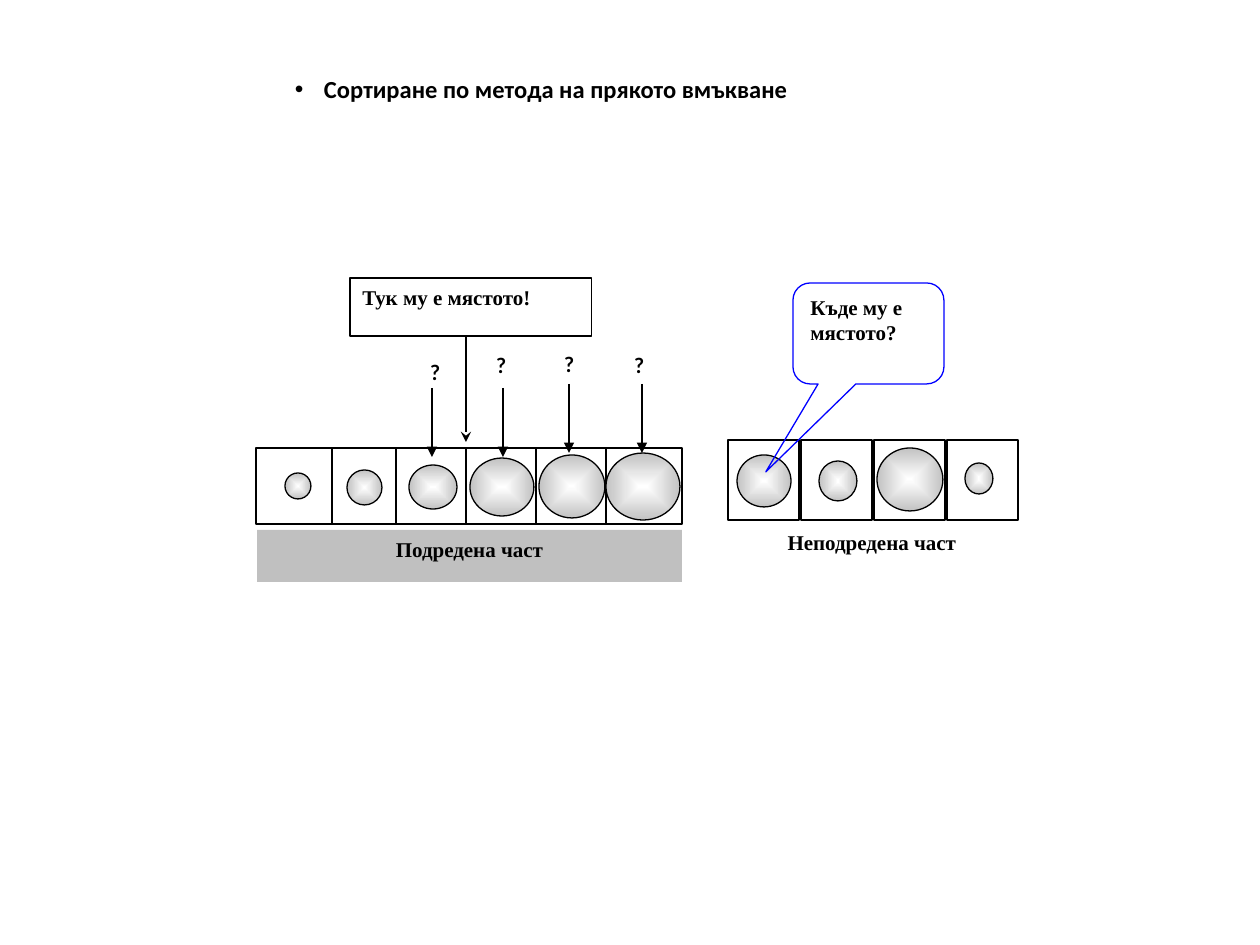
from lxml import etree
from pptx import Presentation
from pptx.dml.color import RGBColor
from pptx.enum.shapes import MSO_CONNECTOR, MSO_SHAPE
from pptx.enum.text import MSO_ANCHOR, MSO_AUTO_SIZE, PP_ALIGN
from pptx.oxml.ns import qn
from pptx.util import Emu, Pt

PX = 914400 // 126
RECT, OVAL = MSO_SHAPE.RECTANGLE, MSO_SHAPE.OVAL
CALLOUT = MSO_SHAPE.ROUNDED_RECTANGULAR_CALLOUT
LEFT, CENTER = PP_ALIGN.LEFT, PP_ALIGN.CENTER
SERIF = "Times New Roman"

prs = Presentation()
prs.slide_width, prs.slide_height = Emu(1260 * PX), Emu(945 * PX)
s = prs.slides.add_slide(prs.slide_layouts[1])


def add_box(kind, box, fill=None, line=None, width=0.75):
    sp = s.shapes.add_shape(kind, *[Emu(v * PX) for v in box])
    sp.shadow.inherit = False
    if fill:
        sp.fill.solid()
        sp.fill.fore_color.rgb = RGBColor.from_string(fill)
    else:
        sp.fill.background()
    if line:
        sp.line.color.rgb = RGBColor.from_string(line)
        sp.line.width = Pt(width)
    else:
        sp.line.fill.background()
    return sp


def add_text(sp, text, font, size=12, align=LEFT):
    tf = sp.text_frame
    tf.word_wrap = True
    tf.auto_size = MSO_AUTO_SIZE.NONE
    tf.vertical_anchor = MSO_ANCHOR.TOP
    p = tf.paragraphs[0]
    p.alignment = align
    r = p.add_run()
    r.text = text
    r.font.name, r.font.size, r.font.bold = font, Pt(size), True
    r.font.color.rgb = RGBColor.from_string("000000")
    return p


# Heading bullet
title, body = s.placeholders
title.element.getparent().remove(title.element)
body.left, body.top, body.width, body.height = [Emu(v * PX) for v in (135, 52, 740, 93)]
p = add_text(body, "Сортиране по метода на прякото вмъкване", "Calibri", 14)
p.level = 2
p.space_before = Pt(0)
tf = body.text_frame
tf.margin_left, tf.margin_top = Emu(63 * PX), Emu(22 * PX)
pPr = p._p.get_or_add_pPr()
pPr.set("marL", str(126 * PX))
pPr.set("indent", str(-29 * PX))
etree.SubElement(pPr, qn("a:buFont")).set("typeface", "Arial")
etree.SubElement(pPr, qn("a:buChar")).set("char", "•")

# Cells of the sorted and unsorted parts; the first sorted cell lies on top
for i in (1, 2, 3, 4, 5, 0):
    add_box(RECT, (256 + 70 * i, 448, 76, 76), "FFFFFF", "000000", 1.5)
for i in range(4):
    add_box(RECT, (728 + 73 * i, 440, 71, 80), "FFFFFF", "000000", 1.5)

# Part labels
for box, fill, text in (((257, 530, 425, 52), "C0C0C0", "Подредена част"),
                        ((726, 523, 292, 54), None, "Неподредена част")):
    add_text(add_box(RECT, box, fill), text, SERIF, align=CENTER)

# Balls: centre x, centre y, width, height
balls = [(298, 486, 26, 26), (364, 487, 35, 35), (433, 487, 48, 44),
         (502, 487, 64, 58), (572, 486, 66, 63), (643, 486, 74, 67),
         (764, 481, 54, 52), (838, 481, 38, 40), (910, 479, 66, 63), (979, 478, 28, 31)]
for cx, cy, w, h in balls:
    sp = add_box(OVAL, (cx - w // 2, cy - h // 2, w, h), line="000000")
    sp.fill.gradient()
    for stop, pos, color in zip(sp.fill.gradient_stops, (0, 1), ("FFFFFF", "C2C2C2")):
        stop.position = pos
        stop.color.rgb = RGBColor.from_string(color)
    grad = sp.element.spPr.find(qn("a:gradFill"))
    grad.remove(grad.find(qn("a:lin")))
    shade = etree.SubElement(grad, qn("a:path"), path="shape")
    etree.SubElement(shade, qn("a:fillToRect"), l="50000", t="50000", r="50000", b="50000")

# Arrows: x, top, bottom, width, head
arrows = [(432, 388, 457, 0.75, "triangle"), (503, 388, 457, 0.75, "triangle"),
          (569, 384, 453, 0.75, "triangle"), (642, 384, 453, 0.75, "triangle"),
          (466, 331, 442, 1.5, "stealth")]
for x, top, bottom, width, head in arrows:
    c = s.shapes.add_connector(MSO_CONNECTOR.STRAIGHT, Emu(x * PX), Emu(top * PX),
                               Emu(x * PX), Emu(bottom * PX))
    c.line.color.rgb = RGBColor.from_string("000000")
    c.line.width = Pt(width)
    etree.SubElement(c.line._get_or_add_ln(), qn("a:tailEnd"), type=head)
    etree.SubElement(c.element.spPr, qn("a:effectLst"))

# Question marks
for x, y in ((418, 353), (484, 346), (552, 345), (622, 346)):
    sp = s.shapes.add_textbox(*[Emu(v * PX) for v in (x, y, 67, 69)])
    add_text(sp, "?", "Lato")

# Speech callout and answer
sp = add_box(CALLOUT, (793, 283, 151, 101), line="0000FF")
for i, value in enumerate((-0.68, 1.37, 0.17)):
    sp.adjustments[i] = value
add_text(sp, "Къде му е мястото?", SERIF)
add_text(add_box(RECT, (350, 278, 242, 58), "FFFFFF", "000000"), "Тук му е мястото!", SERIF)

prs.save("out.pptx")
